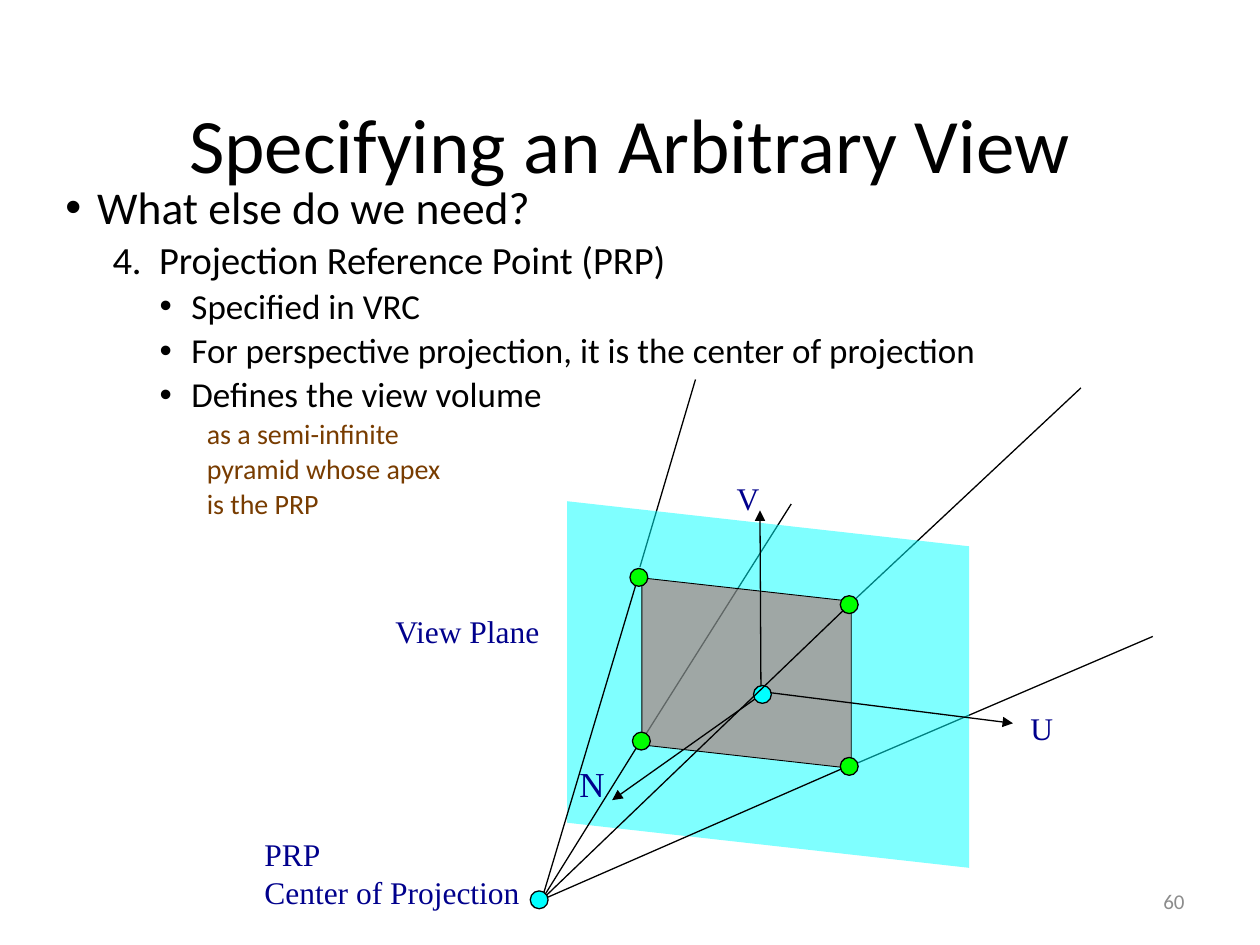
from dataclasses import dataclass

from lxml import etree
from pptx import Presentation
from pptx.dml.color import RGBColor
from pptx.enum.shapes import MSO_CONNECTOR, MSO_SHAPE
from pptx.enum.text import MSO_ANCHOR, MSO_AUTO_SIZE, PP_ALIGN
from pptx.oxml.ns import qn
from pptx.util import Cm, Pt

STRAIGHT = MSO_CONNECTOR.STRAIGHT
ELLIPSE, PARALLELOGRAM = MSO_SHAPE.OVAL, MSO_SHAPE.PARALLELOGRAM
TOP, MIDDLE, BOTTOM = MSO_ANCHOR.TOP, MSO_ANCHOR.MIDDLE, MSO_ANCHOR.BOTTOM
FIXED, GROW = MSO_AUTO_SIZE.NONE, MSO_AUTO_SIZE.SHAPE_TO_FIT_TEXT
LEFT, CENTER, RIGHT = PP_ALIGN.LEFT, PP_ALIGN.CENTER, PP_ALIGN.RIGHT


@dataclass(frozen=True)
class TextStyle:
    size: int
    color: str = "000000"
    font: str = "Calibri"
    align: PP_ALIGN = LEFT
    indent: float = 0  # left margin in cm, for outline levels only
    bullet: bool = False


@dataclass(frozen=True)
class Theme:
    ink: str = "000000"
    plane: str = "00FFFF"
    window: str = "C0504D"
    corner: str = "00FF00"
    point: str = "00FFFF"
    line_width: float = 0.75
    hanging: float = 0.64
    title: TextStyle = TextStyle(44, align=CENTER)
    number: TextStyle = TextStyle(12, "8C8C8C", align=RIGHT)
    label: TextStyle = TextStyle(18, "00008C", "Times New Roman")
    large_label: TextStyle = TextStyle(20, "00008C", "Times New Roman")
    question: TextStyle = TextStyle(26, indent=0.64, bullet=True)
    item: TextStyle = TextStyle(22, indent=1.59)
    detail: TextStyle = TextStyle(20, indent=2.54, bullet=True)
    remark: TextStyle = TextStyle(16, "783C00", indent=3.49)


theme = Theme()
presentation = Presentation()
presentation.slide_width, presentation.slide_height = Cm(25.4), Cm(19.05)
slide = presentation.slides.add_slide(presentation.slide_layouts[6])


def add_line(start, end, arrow=False):
    connector = slide.shapes.add_connector(STRAIGHT, *map(Cm, start + end))
    connector.line.color.rgb = RGBColor.from_string(theme.ink)
    connector.line.width = Pt(theme.line_width)
    if arrow:
        etree.SubElement(connector.line._get_or_add_ln(), qn("a:tailEnd"), type="triangle")
    etree.SubElement(connector._element.spPr, qn("a:effectLst"))


def add_filled_shape(preset, box, color, line_width):
    shape = slide.shapes.add_shape(preset, *map(Cm, box))
    shape.shadow.inherit = False
    shape.fill.solid()
    shape.fill.fore_color.rgb = RGBColor.from_string(color)
    if line_width:
        shape.line.color.rgb = RGBColor.from_string(theme.ink)
        shape.line.width = Pt(line_width)
    else:
        shape.line.fill.background()
    return shape


# Edges of the view volume beyond the view plane
for start, end in [
    ((12.9, 11.43), (14.02, 7.65)),
    ((17.12, 12.19), (21.79, 7.82)),
    ((17.15, 15.44), (23.24, 12.83)),
    ((12.95, 14.91), (15.95, 10.16)),
]:
    add_line(start, end)

# View plane and the window on it, half transparent
for box, color, line_width in [
    ((11.79, 9.75, 7.39, 8.1), theme.plane, 0),
    ((13.13, 11.46, 3.84, 4.22), theme.window, 0.5),
]:
    plane = add_filled_shape(PARALLELOGRAM, box, color, line_width)
    plane.rotation = 90
    plane.adjustments[0] = 0.123
    color_element = plane._element.spPr.find(qn("a:solidFill"))[0]
    etree.SubElement(color_element, qn("a:alpha"), val="50000")

# Text boxes: box, frame format, paragraphs
label_frame = {"word_wrap": False, "auto_size": GROW, "vertical_anchor": TOP}
body_frame = {"word_wrap": True, "auto_size": FIXED, "vertical_anchor": TOP}
for box, frame_format, paragraphs in [
    ((1.27, 0.76, 22.86, 3.18), body_frame | {"vertical_anchor": BOTTOM},
     [("Specifying an Arbitrary View", theme.title)]),
    ((1.07, 3.61, 23.06, 7.44), body_frame, [
        ("What else do we need?", theme.question),
        ("4.  Projection Reference Point (PRP)", theme.item),
        ("Specified in VRC", theme.detail),
        ("For perspective projection, it is the center of projection", theme.detail),
        ("Defines the view volume", theme.detail),
        ("as a semi-infinite", theme.remark),
        ("pyramid whose apex", theme.remark),
        ("is the PRP", theme.remark),
    ]),
    ((18.21, 17.65, 5.92, 1.02), body_frame | {"vertical_anchor": MIDDLE},
     [("60", theme.number)]),
    ((7.72, 12.22, 3.45, 1.02), label_frame, [("View Plane", theme.label)]),
    ((11.43, 15.24, 1.02, 1.09), label_frame, [("N", theme.large_label)]),
    ((14.6, 9.53, 0.97, 1.02), label_frame, [("V", theme.label)]),
    ((20.52, 14.17, 0.97, 1.02), label_frame, [("U", theme.label)]),
    ((5.08, 16.71, 5.66, 1.78), label_frame,
     [("PRP", theme.label), ("Center of Projection", theme.label)]),
]:
    text_frame = slide.shapes.add_textbox(*map(Cm, box)).text_frame
    for name, value in frame_format.items():
        setattr(text_frame, name, value)
    for index, (text, style) in enumerate(paragraphs):
        paragraph = text_frame.add_paragraph() if index else text_frame.paragraphs[0]
        paragraph.text = text
        paragraph.alignment = style.align
        if style.indent:
            properties = paragraph._p.get_or_add_pPr()
            properties.set("marL", str(Cm(style.indent)))
            properties.set("indent", str(-Cm(theme.hanging)))
            if style.bullet:
                etree.SubElement(properties, qn("a:buFont"), typeface="Arial")
                etree.SubElement(properties, qn("a:buChar"), char="•")
            paragraph.line_spacing = 0.9
            if index:
                paragraph.space_before = Pt(0.18 * style.size)
        font = paragraph.font
        font_format = {"name": style.font, "size": Pt(style.size)}
        for name, value in font_format.items():
            setattr(font, name, value)
        font.color.rgb = RGBColor.from_string(style.color)

# Axes N, V and U with their origin
for start, end in [
    ((15.32, 14.02), (12.34, 16.13)),
    ((15.34, 13.94), (15.32, 10.29)),
    ((15.34, 13.94), (20.42, 14.58)),
]:
    add_line(start, end, arrow=True)
dot = 0.36
add_filled_shape(ELLIPSE, (15.19, 13.82, dot, dot), theme.point, theme.line_width)

# Rays from the projection reference point to the window corners
apex = (10.92, 18.14)
for corner in [(12.85, 11.68), (12.9, 14.96), (17.15, 15.42), (17.12, 12.19)]:
    add_line(apex, corner)

for left, top, color in [
    (10.69, 17.96, theme.point),
    (12.7, 11.46, theme.corner),
    (12.75, 14.76, theme.corner),
    (16.94, 15.27, theme.corner),
    (16.94, 12.01, theme.corner),
]:
    add_filled_shape(ELLIPSE, (left, top, dot, dot), color, theme.line_width)

presentation.save("out.pptx")
